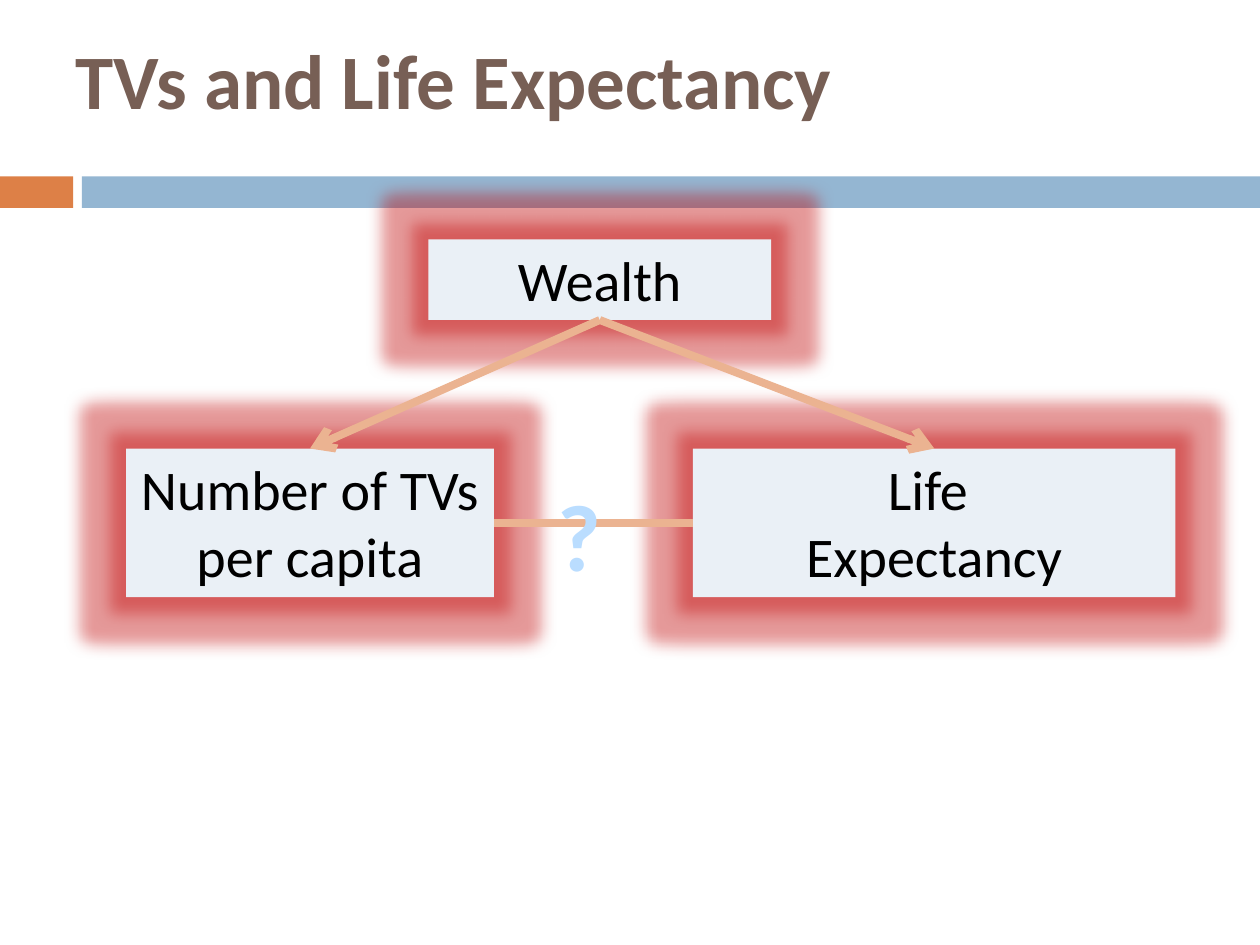
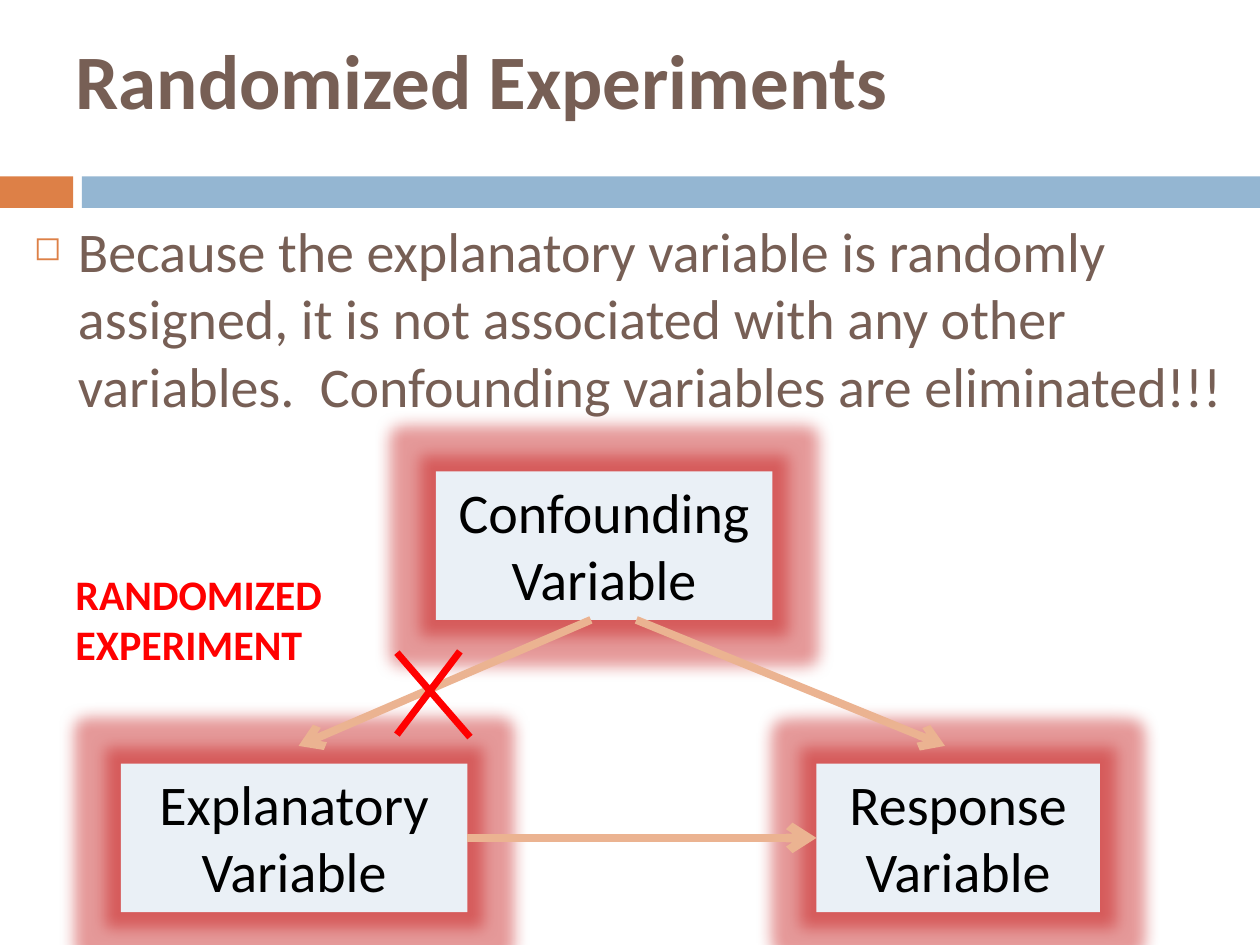
from lxml import etree
from pptx import Presentation
from pptx import util as u
from pptx.dml.color import RGBColor
from pptx.enum import shapes, text
from pptx.oxml import ns

CELL = 0.25
COLUMNS, ROWS = 40, 30
FONT = "Calibri"
COLORS = {
    "heading": "775F55", "accent": "DD8047", "band": "94B6D2",
    "card": "EAF0F6", "glow": "C00000", "arrow": "EBB391",
    "ink": "000000", "alert": "FF0000", "question": "BADDFF",
}
CARD_ROWS = 4.72
TOP, LEFT, BOTTOM, RIGHT = 0, 1, 2, 3


def grid(*cells):
    return [u.Inches(cell * CELL) for cell in cells]


def rgb(name):
    return RGBColor.from_string(COLORS[name])


def add_xml(parent, tag, **attributes):
    return etree.SubElement(parent, ns.qn(tag), attributes)


def write(frame, words, size, color, bold=False, align=text.PP_ALIGN.LEFT):
    frame.text = words
    for paragraph in frame.paragraphs:
        paragraph.alignment = align
        for run in paragraph.runs:
            run.font.name = FONT
            run.font.size = u.Pt(size)
            run.font.bold = bold
            run.font.color.rgb = rgb(color)


def add_block(slide, cells, color):
    block = slide.shapes.add_shape(shapes.MSO_SHAPE.RECTANGLE, *grid(*cells))
    block.shadow.inherit = False
    block.fill.solid()
    block.fill.fore_color.rgb = rgb(color)
    block.line.fill.background()
    return block


def add_titled_slide(deck, heading):
    slide = deck.slides.add_slide(deck.slide_layouts[5])
    add_block(slide, (0, 5.6, 2.32, 1), "accent")
    add_block(slide, (2.6, 5.6, 37.4, 1), "band")
    title = slide.shapes.title
    title.left, title.top, title.width, title.height = grid(2, 0, 36, 5)
    write(title.text_frame, heading, 44, "heading", bold=True)
    title.text_frame.vertical_anchor = text.MSO_ANCHOR.MIDDLE
    return slide


def add_card(slide, words, column, row, columns, rows=CARD_ROWS):
    card = add_block(slide, (column, row, columns, rows), "card")
    effects = card._element.spPr.find(ns.qn("a:effectLst"))
    glow = add_xml(effects, "a:glow", rad=str(u.Pt(18)))
    tint = add_xml(glow, "a:srgbClr", val=COLORS["glow"])
    add_xml(tint, "a:alpha", val="40000")
    write(card.text_frame, words, 32, "ink", align=text.PP_ALIGN.CENTER)
    card.text_frame.vertical_anchor = text.MSO_ANCHOR.TOP
    return card


def add_line(slide, cells=(0, 0, 0, 0), color="arrow", weight=4.5, arrow=True):
    line = slide.shapes.add_connector(shapes.MSO_CONNECTOR.STRAIGHT, *grid(*cells))
    line.line.color.rgb = rgb(color)
    line.line.width = u.Pt(weight)
    if arrow:
        add_xml(line.line._get_or_add_ln(), "a:tailEnd", type="arrow")
    add_xml(line._element.spPr, "a:effectLst")
    return line


def join(slide, cause, cause_side, effect, effect_side, **style):
    line = add_line(slide, **style)
    line.begin_connect(cause, cause_side)
    line.end_connect(effect, effect_side)


def add_text(slide, cells, words, size, color, wrap=True, **style):
    frame = slide.shapes.add_textbox(*grid(*cells)).text_frame
    frame.word_wrap = wrap
    write(frame, words, size, color, **style)
    return frame


def add_bullet(paragraph):
    properties = paragraph._p.get_or_add_pPr()
    properties.set("marL", str(u.Inches(0.35)))
    properties.set("indent", str(u.Inches(-0.35)))
    bullet_color = add_xml(properties, "a:buClr")
    add_xml(bullet_color, "a:srgbClr", val=COLORS["accent"])
    add_xml(properties, "a:buSzPct", val="60000")
    add_xml(properties, "a:buChar", char="◻")


def build_tv_slide(deck):
    slide = add_titled_slide(deck, "TVs and Life Expectancy")
    row = 14.24
    tvs = add_card(slide, "Number of TVs per capita", 4, row, 11.68)
    life = add_card(slide, "Life \nExpectancy", 22, row, 15.32)
    wealth = add_card(slide, "Wealth", 13.6, 7.6, 10.88, 2.56)
    for outcome in (tvs, life):
        join(slide, wealth, BOTTOM, outcome, TOP)
    join(slide, tvs, RIGHT, life, LEFT, weight=5, arrow=False)
    add_text(slide, (17.32, 14.96, 2.16, 4.04), "?", 54, "question",
             wrap=False, bold=True, align=text.PP_ALIGN.CENTER)


def build_experiment_slide(deck):
    slide = add_titled_slide(deck, "Randomized Experiments")
    reason = add_text(
        slide, (0.68, 6.68, 39, 23),
        "Because the explanatory variable is randomly assigned, it is not "
        "associated with any other variables.  Confounding variables are "
        "eliminated!!!", 32, "heading")
    add_bullet(reason.paragraphs[0])
    row = 24.24
    explanatory = add_card(slide, "Explanatory Variable", 3.84, row, 11)
    response = add_card(slide, "Response Variable", 25.92, row, 9)
    confounding_row = 14.96
    add_card(slide, "Confounding Variable", 13.84, confounding_row, 10.68)
    start = confounding_row + CARD_ROWS
    for begin, end in ((18.76, 9.48), (20.2, 30)):
        add_line(slide, (begin, start, end, start + 4))
    join(slide, explanatory, RIGHT, response, LEFT, weight=5)
    for stroke in ((12.6, 20.72, 14.92, 23.4), (12.6, 23.32, 14.6, 20.68)):
        add_line(slide, stroke, "alert", weight=4, arrow=False)
    add_text(slide, (2, 17.84, 9.68, 3.64), "RANDOMIZED EXPERIMENT", 24,
             "alert", bold=True)


def main():
    deck = Presentation()
    deck.slide_width, deck.slide_height = grid(COLUMNS, ROWS)
    build_tv_slide(deck)
    build_experiment_slide(deck)
    deck.save("out.pptx")


if __name__ == "__main__":
    main()
